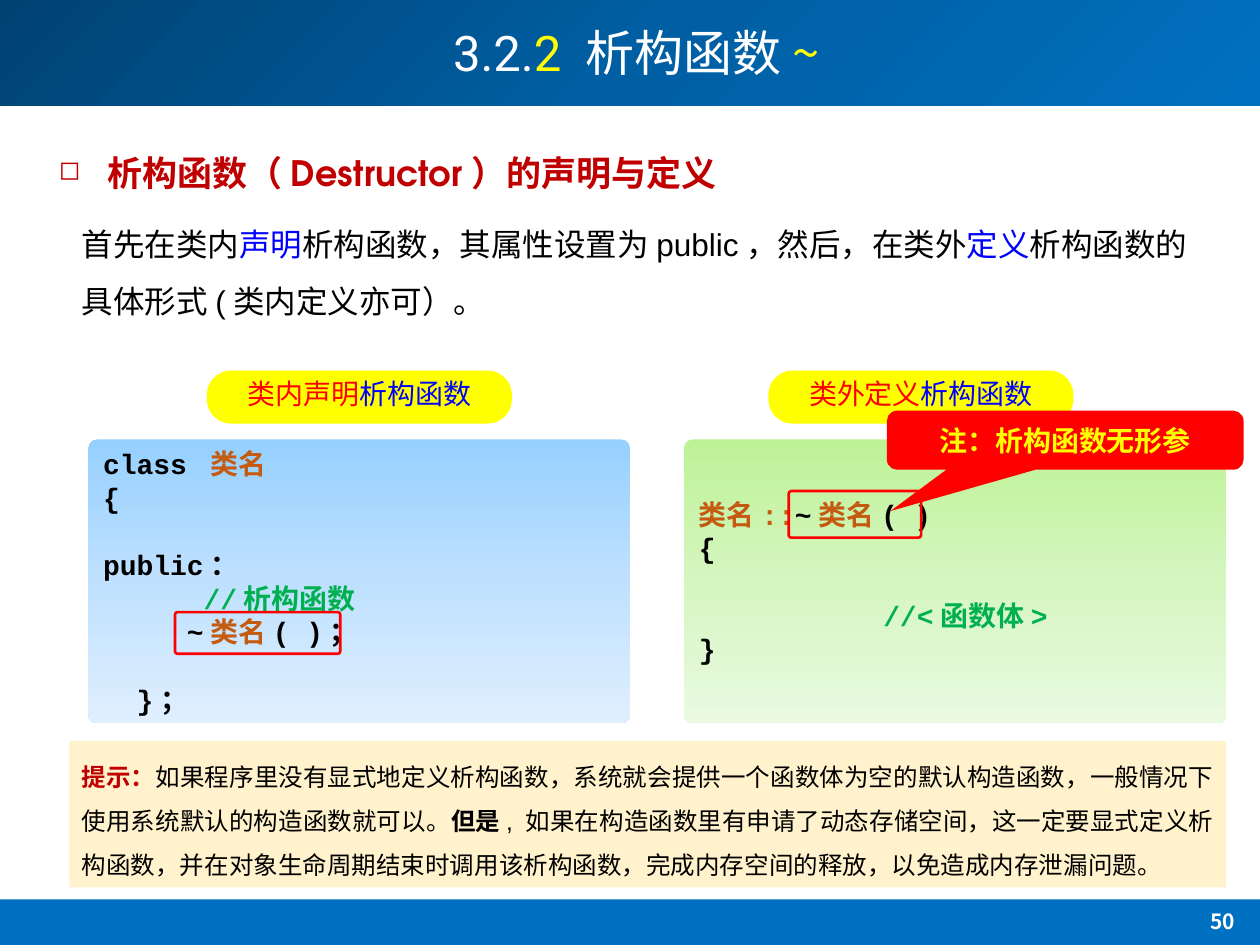
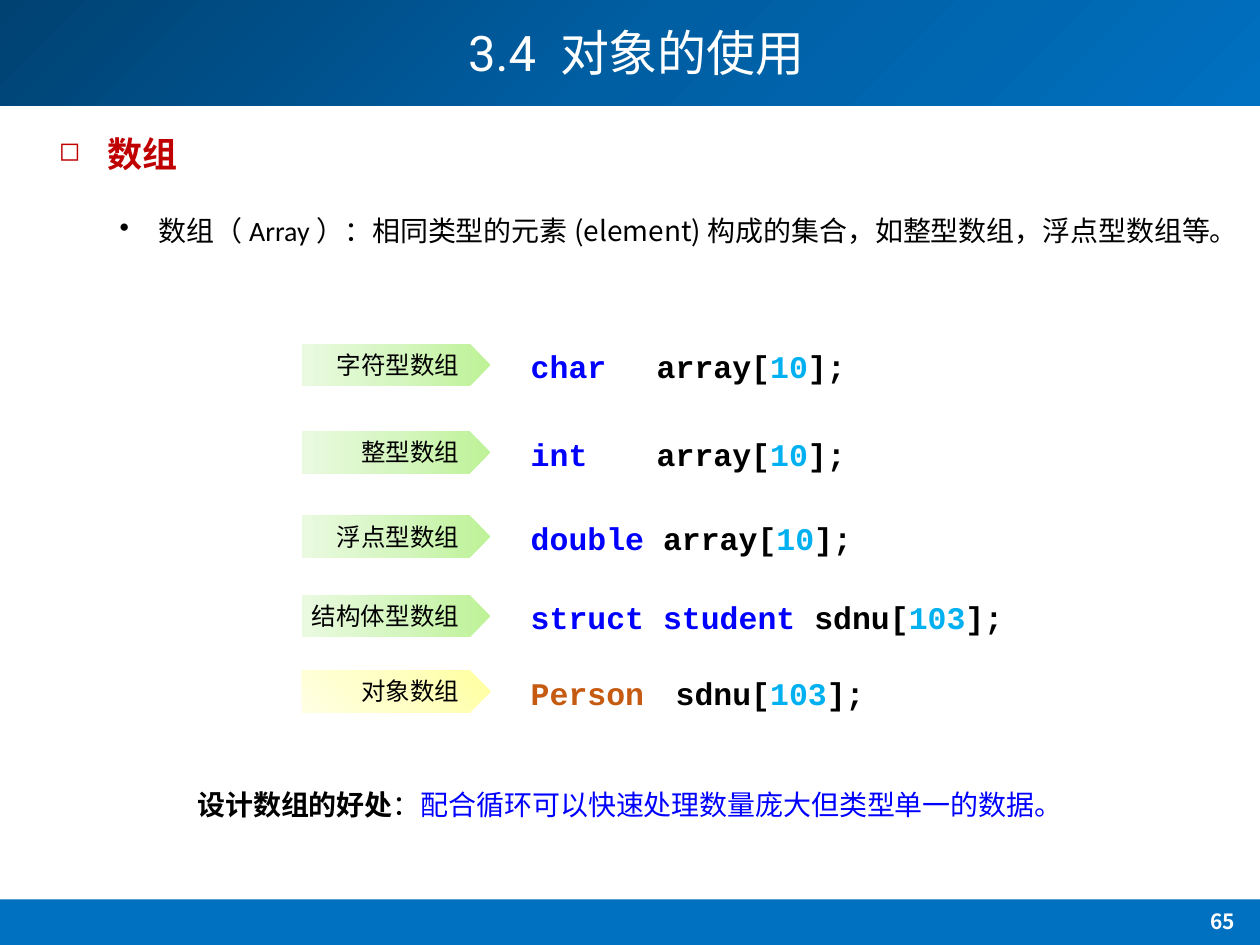
from lxml.etree import SubElement
from pptx import Presentation
from pptx.dml.color import RGBColor
from pptx.enum.shapes import MSO_SHAPE as Preset
from pptx.enum.text import MSO_ANCHOR as Anchor, PP_ALIGN as Align
from pptx.oxml.ns import qn
from pptx.util import Cm, Pt

WHITE = RGBColor(0xFF, 0xFF, 0xFF)
BLACK = RGBColor(0x00, 0x00, 0x00)
BLUE = RGBColor(0x00, 0x00, 0xFF)
CYAN = RGBColor(0x00, 0xB0, 0xF0)
GREEN = RGBColor(0x00, 0xB0, 0x50)
RED = RGBColor(0xFF, 0x00, 0x00)
DARK_RED = RGBColor(0xC0, 0x00, 0x00)
ORANGE = RGBColor(0xC5, 0x5A, 0x11)
YELLOW = RGBColor(0xFF, 0xFF, 0x00)
CREAM = RGBColor(0xFF, 0xF2, 0xCC)
BAND_BLUE = RGBColor(0x00, 0x70, 0xC0)

# Gradient stops at 0, 50 and 100 percent
BAND_STOPS = (RGBColor(0x00, 0x42, 0x72), RGBColor(0x00, 0x5E, 0xA2), BAND_BLUE)
BLUE_STOPS = (RGBColor(0x96, 0xD0, 0xFF), RGBColor(0xBF, 0xE1, 0xFF), RGBColor(0xE0, 0xEF, 0xFF))
GREEN_STOPS = (RGBColor(0xBE, 0xF2, 0x97), RGBColor(0xD5, 0xF6, 0xC0), RGBColor(0xEA, 0xFA, 0xE0))
YELLOW_STOPS = (RGBColor(0xFF, 0xFF, 0xA0), RGBColor(0xFF, 0xFF, 0xC5), RGBColor(0xFF, 0xFF, 0xE3))

HAN = "Noto Sans CJK SC"
BODY = "Arial"
CODE = "Courier New"
TITLE = "Roboto"

SLIDE_WIDTH, SLIDE_HEIGHT = 25.4, 19.05


# ---- Text ----
def write(frame, lines, align=Align.LEFT, anchor=Anchor.TOP, wrap=True,
          spacing=None, bullet=None, bullet_percent=100, indent=0, **base):
    """Fill a frame; a line is a list of strings or (string, format) pairs."""
    frame.word_wrap = wrap
    frame.vertical_anchor = anchor
    for index, line in enumerate(lines):
        paragraph = frame.add_paragraph() if index else frame.paragraphs[0]
        if bullet:
            properties = paragraph._p.get_or_add_pPr()
            properties.set("marL", str(Cm(indent)))
            properties.set("indent", str(-Cm(indent)))
            SubElement(properties, qn("a:buSzPct")).set("val", str(bullet_percent * 1000))
            SubElement(properties, qn("a:buChar")).set("char", bullet)
        paragraph.alignment = align
        if spacing:
            paragraph.line_spacing = spacing
        for piece in line:
            text, changes = (piece, {}) if isinstance(piece, str) else piece
            add_run(paragraph, text, **{**base, **changes})


def add_run(paragraph, text, size, font=BODY, color=BLACK, bold=False):
    run = paragraph.add_run()
    run.text = text
    run.font.size = Pt(size)
    run.font.bold = bold
    run.font.color.rgb = color
    run.font.name = font
    SubElement(run._r.get_or_add_rPr(), qn("a:ea")).set("typeface", HAN)


def tint(text, color, **changes):
    return text, {"color": color, **changes}


def add_text(shapes, box, lines, **text_format):
    text_box = shapes.add_textbox(*map(Cm, box))
    write(text_box.text_frame, lines, **text_format)


# ---- Shapes ----
def add_shape(shapes, preset, box, fill=None, line=None, adjust=()):
    shape = shapes.add_shape(preset, *map(Cm, box))
    shape.shadow.inherit = False
    for index, value in enumerate(adjust):
        shape.adjustments[index] = value
    if fill:
        shape.fill.solid()
        shape.fill.fore_color.rgb = fill
    else:
        shape.fill.background()
    if line:
        shape.line.color.rgb = line
        shape.line.width = Pt(1.5)
    else:
        shape.line.fill.background()
    return shape


def set_gradient(shape, stops, angle=None):
    """Linear gradient clockwise by angle, or radial from the top right corner."""
    shape.fill.gradient()
    gradient = shape.element.spPr.find(qn("a:gradFill"))
    for child in list(gradient):
        gradient.remove(child)
    stop_list = SubElement(gradient, qn("a:gsLst"))
    for index, color in enumerate(stops):
        stop = SubElement(stop_list, qn("a:gs"))
        stop.set("pos", str(index * 50000))
        SubElement(stop, qn("a:srgbClr")).set("val", str(color))
    if angle is None:
        radial = SubElement(gradient, qn("a:path"))
        radial.set("path", "circle")
        focus = SubElement(radial, qn("a:fillToRect"))
        focus.set("l", "100000")
        focus.set("b", "100000")
    else:
        linear = SubElement(gradient, qn("a:lin"))
        linear.set("ang", str(angle * 60000))
        linear.set("scaled", "0")


# ---- Parts shared by the slides ----
def add_bands(layout, slide):
    """Draw the two bands and hand them to the layout, behind everything."""
    header = add_shape(slide.shapes, Preset.RECTANGLE, (0, 0, SLIDE_WIDTH, 2.13))
    set_gradient(header, BAND_STOPS, 45)
    footer = add_shape(slide.shapes, Preset.RECTANGLE,
                       (0, 18.13, SLIDE_WIDTH, SLIDE_HEIGHT - 18.13), BAND_BLUE)
    for band in (footer, header):
        layout.element.cSld.spTree.insert(2, band.element)


def add_frame(slide, title, number):
    placeholder = slide.shapes.title
    placeholder.left, placeholder.top, placeholder.width, placeholder.height = map(
        Cm, (2.16, 0, 21.34, 2.26))
    write(placeholder.text_frame, [title], align=Align.CENTER, anchor=Anchor.MIDDLE,
          spacing=0.9, size=28, font=TITLE, color=WHITE)
    add_text(slide.shapes, (23.44, 18.19, 2.41, 0.91), [[number]], align=Align.CENTER,
             size=12, font=HAN, color=WHITE, bold=True)


def add_section(slide, top, pieces):
    add_text(slide.shapes, (0.94, top, 19.86, 1.12), [pieces], bullet="◻",
             bullet_percent=75, indent=0.97, size=20, color=DARK_RED, bold=True)


# ---- Destructor slide ----
def add_code_panel(slide, left, top, pill_offset, heading, stops, code, mark):
    # Heading pill above the panel
    group = slide.shapes.add_group_shape()
    pill_left, pill_top = left + pill_offset, top - 1.39
    add_shape(group.shapes, Preset.ROUNDED_RECTANGLE, (pill_left, pill_top, 6.15, 1.07),
              YELLOW, adjust=[0.46])
    add_text(group.shapes, (pill_left - 0.08, pill_top, 6.31, 0.94),
             [[heading, tint("析构函数", BLUE)]],
             align=Align.CENTER, size=16, font=HAN, color=RED)
    # Code and the outline round the destructor name
    panel = add_shape(slide.shapes, Preset.ROUNDED_RECTANGLE, (left, top, 10.92, 5.72),
                      adjust=[0.03])
    set_gradient(panel, stops, 90)
    write(panel.text_frame, code, anchor=Anchor.MIDDLE, size=16, font=CODE, bold=True)
    mark_left, mark_top, width, height = mark
    add_shape(slide.shapes, Preset.ROUNDED_RECTANGLE,
              (left + mark_left, top + mark_top, width, height), line=RED, adjust=[0.06])


def build_destructor_slide(slide):
    add_frame(slide, ["3.2.", tint("2 ", YELLOW), tint("析构函数", WHITE, font=HAN),
                      tint("~", YELLOW, font=HAN)], "50")
    add_section(slide, 2.92, ["析构函数（", ("Destructor", {"font": "TeX Gyre Adventor"}),
                              "）的声明与定义"])
    add_text(slide.shapes, (1.4, 4.04, 23.32, 2.57),
             [["首先在类内", tint("声明", BLUE),
               "析构函数，其属性设置为public，然后，在类外", tint("定义", BLUE),
               "析构函数的具体形式(类内定义亦可）。"]], spacing=1.5, size=18)

    class_name = tint("类名", ORANGE)
    declaration = [
        ["class ", class_name],
        ["{"],
        [" "],
        ["public："],
        ["      ", tint("//析构函数", GREEN)],
        ["     ~", class_name, "( )；"],
        [" "],
        ["  }；"],
    ]
    definition = [
        [tint("类名::", ORANGE), "~", class_name, "( )"],
        ["{"],
        [" "],
        ["           ", tint("//<函数体>", GREEN)],
        ["}"],
    ]
    add_code_panel(slide, 1.78, 8.86, 2.39, "类内声明", BLUE_STOPS, declaration,
                   (1.75, 3.48, 3.33, 0.84))
    add_code_panel(slide, 13.79, 8.86, 1.7, "类外定义", GREEN_STOPS, definition,
                   (2.11, 1.04, 2.67, 0.94))

    callout = add_shape(slide.shapes, Preset.ROUNDED_RECTANGULAR_CALLOUT,
                        (17.88, 8.28, 7.19, 1.19), RED, adjust=[-0.49, 1.2, 0.17])
    write(callout.text_frame, [["注：析构函数无形参"]], align=Align.CENTER,
          anchor=Anchor.MIDDLE, size=16, font=HAN, color=YELLOW, bold=True)

    hint = add_shape(slide.shapes, Preset.RECTANGLE, (1.4, 14.94, 23.32, 2.95), CREAM)
    write(hint.text_frame, [[
        tint("提示：", DARK_RED, bold=True),
        "如果程序里没有显式地定义析构函数，系统就会提供一个函数体为空的默认构造函数，"
        "一般情况下使用系统默认的构造函数就可以。",
        ("但是", {"bold": True}),
        ", 如果在构造函数里有申请了动态存储空间，这一定要显式定义析构函数，"
        "并在对象生命周期结束时调用该析构函数，完成内存空间的释放，以免造成内存泄漏问题。",
    ]], align=Align.JUSTIFY, spacing=1.5, size=14)


# ---- Array slide ----
def add_array_row(slide, left, top, label, code, stops, angle):
    plate = add_shape(slide.shapes, Preset.PENTAGON, (left, top, 3.81, 0.86))
    set_gradient(plate, stops, angle)
    label_width = 0.6 + 0.5 * len(label)
    add_text(slide.shapes, (left + 3.43 - label_width, top, label_width, 0.86), [[label]],
             align=Align.RIGHT, size=14)
    add_text(slide.shapes, (left + 4.37, top - 0.05, 10.5, 1.02), [code],
             size=18, font=CODE, bold=True)


def build_array_slide(slide):
    add_frame(slide, ["3.4 ", ("对象的使用", {"font": HAN})], "65")
    add_section(slide, 2.54, ["数组"])
    add_text(slide.shapes, (2.16, 4.19, 22.56, 0.94),
             [["数组（", ("Array）", {"font": "Calibri"}), "：",
               ("相同类型的元素(element)构成的集合，如整型数组，浮点型数组等。", {"font": HAN})]],
             bullet="•", indent=0.79, size=16)

    rows = [
        (6.93, "字符型数组", "char", " \tarray[", "10"),
        (8.69, "整型数组", "int", " \tarray[", "10"),
        (10.39, "浮点型数组", "double", " array[", "10"),
        (11.99, "结构体型数组", "struct student ", "sdnu[", "103"),
        (13.51, "对象数组", "Person\t ", "sdnu[", "103"),
    ]
    for top, label, kind, variable, count in rows:
        is_object = label == "对象数组"
        code = [tint(kind, ORANGE if is_object else BLUE), variable, tint(count, CYAN), "];"]
        add_array_row(slide, 6.08, top, label, code,
                      YELLOW_STOPS if is_object else GREEN_STOPS,
                      None if is_object else 180)

    add_text(slide.shapes, (3.73, 15.75, 18.19, 0.94),
             [[("设计数组的好处", {"bold": True}), ("：", {"font": HAN}),
               tint("配合循环可以快速处理数量庞大但类型单一的数据。", BLUE, font=HAN)]],
             wrap=False, size=16)


def main():
    presentation = Presentation()
    presentation.slide_width = Cm(SLIDE_WIDTH)
    presentation.slide_height = Cm(SLIDE_HEIGHT)
    layout = presentation.slide_layouts.get_by_name("Title Only")
    destructor_slide = presentation.slides.add_slide(layout)
    array_slide = presentation.slides.add_slide(layout)
    add_bands(layout, destructor_slide)
    build_destructor_slide(destructor_slide)
    build_array_slide(array_slide)
    presentation.save("out.pptx")


if __name__ == "__main__":
    main()
